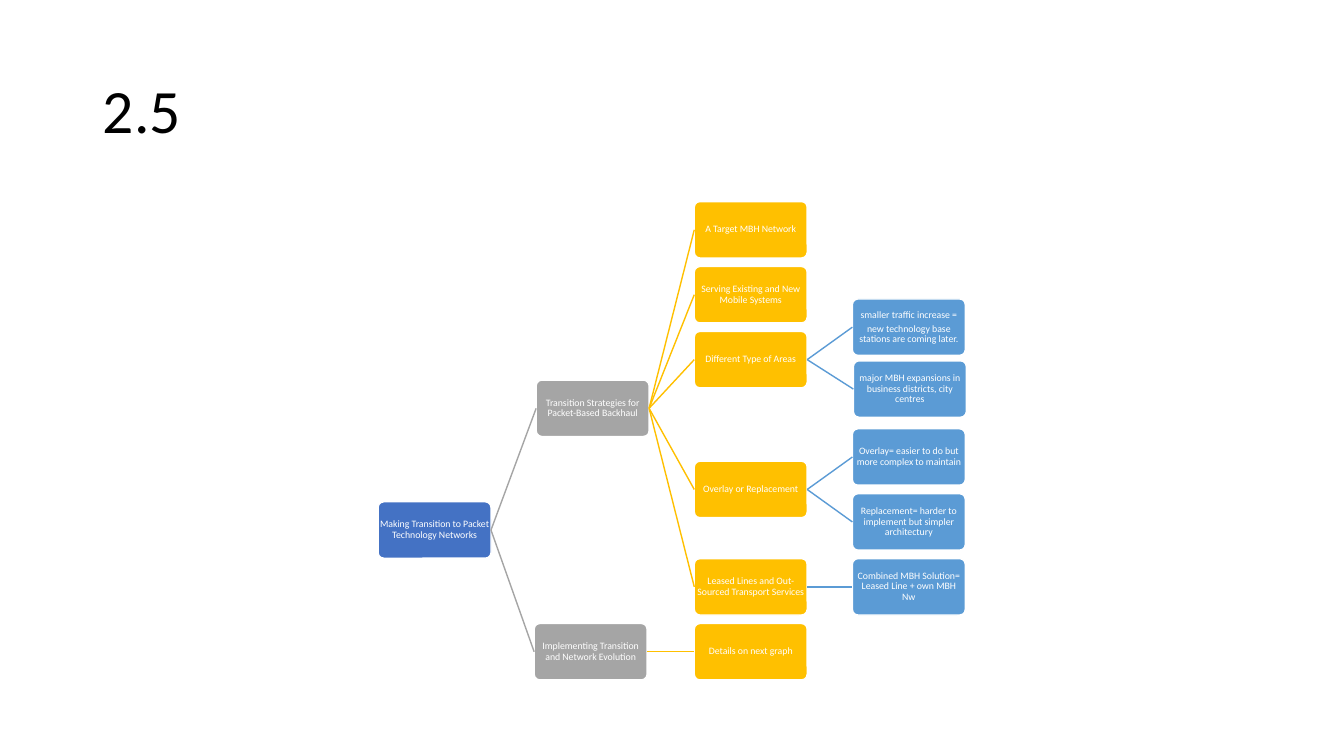
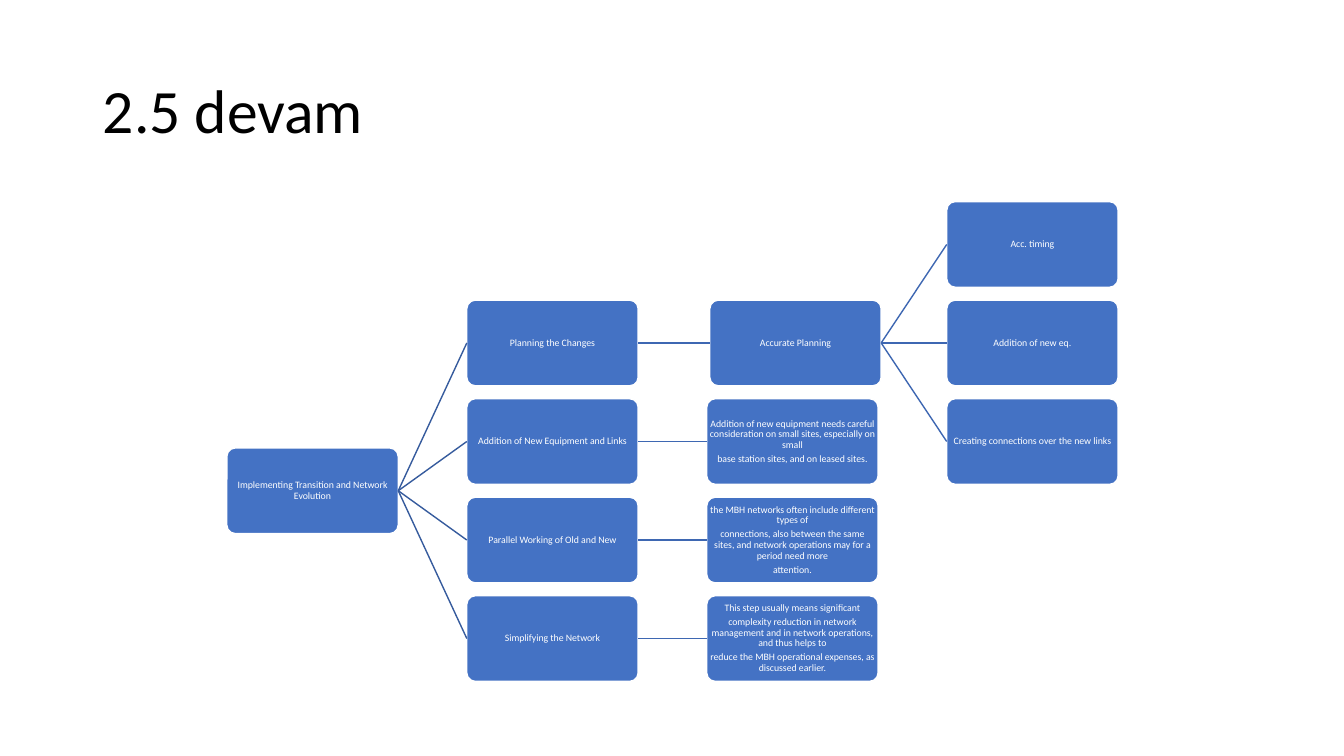
from dataclasses import dataclass

from pptx import Presentation
from pptx import util as u
from pptx.dml.color import RGBColor
from pptx.enum import shapes, text
from pptx.oxml.ns import qn
from lxml import etree

BLACK = RGBColor(0x00, 0x00, 0x00)
WHITE = RGBColor(0xFF, 0xFF, 0xFF)
BLUE = RGBColor(0x44, 0x72, 0xC4)
GREY = RGBColor(0xA5, 0xA5, 0xA5)
GOLD = RGBColor(0xFF, 0xC0, 0x00)
SKY = RGBColor(0x5B, 0x9B, 0xD5)
DARK_LINK = RGBColor(0x36, 0x5B, 0x9D)
LINK = RGBColor(0x3E, 0x67, 0xB2)

TITLE_PLACE = {"left": u.Inches(0.92), "top": u.Inches(0.4),
               "width": u.Inches(11.5), "height": u.Inches(1.45)}
TITLE_FONT = {"name": "Calibri", "size": u.Pt(44)}
TITLE_PARA = {"alignment": text.PP_ALIGN.LEFT, "line_spacing": 0.9}
TITLE_FRAME = {"word_wrap": True, "auto_size": text.MSO_AUTO_SIZE.NONE,
               "vertical_anchor": text.MSO_ANCHOR.MIDDLE}
BOX_FONT = {"name": "Calibri", "size": u.Pt(7)}
BOX_PARA = {"alignment": text.PP_ALIGN.CENTER, "line_spacing": 0.9,
            "space_after": u.Pt(2.45)}
BOX_FRAME = {"word_wrap": True, "vertical_anchor": text.MSO_ANCHOR.MIDDLE,
             "margin_left": 0, "margin_right": 0,
             "margin_top": 0, "margin_bottom": 0}

TREE_TOP = 2.0
COLUMN_RATIO = 1.4
ROW_RATIO = 1.15
LEFT_SITE, RIGHT_SITE = 1, 3


@dataclass
class Node:
    label: str
    row: float = 0
    children: tuple = ()
    nudge: tuple = (0, 0)

    def position(self):
        if not self.children:
            return self.row
        return (self.children[0].position() + self.children[-1].position()) / 2


@dataclass
class Tree:
    root: Node
    left: float
    box_width: float
    fills: tuple
    links: tuple


TRANSITION = Tree(
    Node("Making Transition to Packet Technology Networks", children=(
        Node("Transition Strategies for Packet-Based Backhaul", children=(
            Node("A Target MBH Network", 0),
            Node("Serving Existing and New Mobile Systems", 1),
            Node("Different Type of Areas", children=(
                Node("smaller traffic increase =\n"
                     "new technology base stations are coming later.", 1.5),
                Node("major MBH expansions in business districts, city centres",
                     2.5, nudge=(0.01, -0.03)),
            )),
            Node("Overlay or Replacement", children=(
                Node("Overlay= easier to do but more complex to maintain", 3.5),
                Node("Replacement= harder to implement but simpler architectury", 4.5),
            )),
            Node("Leased Lines and Out-Sourced Transport Services", children=(
                Node("Combined MBH Solution= Leased Line + own MBH Nw", 5.5),
            )),
        )),
        Node("Implementing Transition and Network Evolution", nudge=(-0.02, 0), children=(
            Node("Details on next graph", 6.5),
        )),
    )),
    left=3.75, box_width=1.12,
    fills=(BLUE, GREY, GOLD, SKY), links=(GREY, GOLD, SKY))

EVOLUTION = Tree(
    Node("Implementing Transition and Network Evolution", children=(
        Node("Planning the Changes", children=(
            Node("Accurate Planning", nudge=(0.03, 0), children=(
                Node("Acc. timing", 0),
                Node("Addition of new eq.", 1),
                Node("Creating connections over the new links", 2),
            )),
        )),
        Node("Addition of New Equipment and Links", children=(
            Node("Addition of new equipment needs careful consideration on small sites, "
                 "especially on small\n"
                 "base station sites, and on leased sites.", 2),
        )),
        Node("Parallel Working of Old and New", children=(
            Node("the MBH networks often include different types of\n"
                 "connections, also between the same sites, and network operations "
                 "may for a period need more\n"
                 "attention.", 3),
        )),
        Node("Simplifying the Network", children=(
            Node("This step usually means significant\n"
                 "complexity reduction in network management and in network operations, "
                 "and thus helps to\n"
                 "reduce the MBH operational expenses, as discussed earlier.", 4),
        )),
    )),
    left=2.25, box_width=1.7,
    fills=(BLUE,) * 4, links=(DARK_LINK, LINK, LINK))


def apply_format(target, values):
    for name, value in values.items():
        setattr(target, name, value)


def write_text(frame, content, frame_format, para_format, font_format, color):
    apply_format(frame, frame_format)
    for index, line in enumerate(content.split("\n")):
        para = frame.add_paragraph() if index else frame.paragraphs[0]
        apply_format(para, para_format)
        span = para.add_run()
        span.text = line
        apply_format(span.font, font_format)
        span.font.color.rgb = color


def add_page(deck, title):
    page = deck.slides.add_slide(deck.slide_layouts[5])
    heading = page.shapes.title
    apply_format(heading, TITLE_PLACE)
    write_text(heading.text_frame, title, TITLE_FRAME, TITLE_PARA, TITLE_FONT, BLACK)
    return page


def add_box(page, tree, node, level):
    width = tree.box_width
    height = width / 2
    left = tree.left + level * width * COLUMN_RATIO + node.nudge[0]
    top = TREE_TOP + node.position() * height * ROW_RATIO + node.nudge[1]
    box = page.shapes.add_shape(
        shapes.MSO_SHAPE.ROUNDED_RECTANGLE,
        u.Inches(left), u.Inches(top), u.Inches(width), u.Inches(height))
    box.adjustments[0] = 0.1
    box.shadow.inherit = False
    box.fill.solid()
    box.fill.fore_color.rgb = tree.fills[level]
    box.line.color.rgb = WHITE
    box.line.width = u.Pt(1)
    write_text(box.text_frame, node.label, BOX_FRAME, BOX_PARA, BOX_FONT, WHITE)
    return box


def add_link(page, parent_box, child_box, color):
    link = page.shapes.add_connector(shapes.MSO_CONNECTOR.STRAIGHT, 0, 0, 0, 0)
    link.begin_connect(parent_box, RIGHT_SITE)
    link.end_connect(child_box, LEFT_SITE)
    link.line.color.rgb = color
    link.line.width = u.Pt(1)
    etree.SubElement(link._element.spPr, qn("a:effectLst"))


def add_branch(page, tree, node, level=0):
    box = add_box(page, tree, node, level)
    for child in node.children:
        child_box = add_branch(page, tree, child, level + 1)
        add_link(page, box, child_box, tree.links[level])
    return box


def main():
    deck = Presentation()
    deck.slide_width = u.Inches(13.33)
    deck.slide_height = u.Inches(7.5)
    for title, tree in (("2.5", TRANSITION), ("2.5 devam", EVOLUTION)):
        add_branch(add_page(deck, title), tree, tree.root)
    deck.save("out.pptx")


if __name__ == "__main__":
    main()
